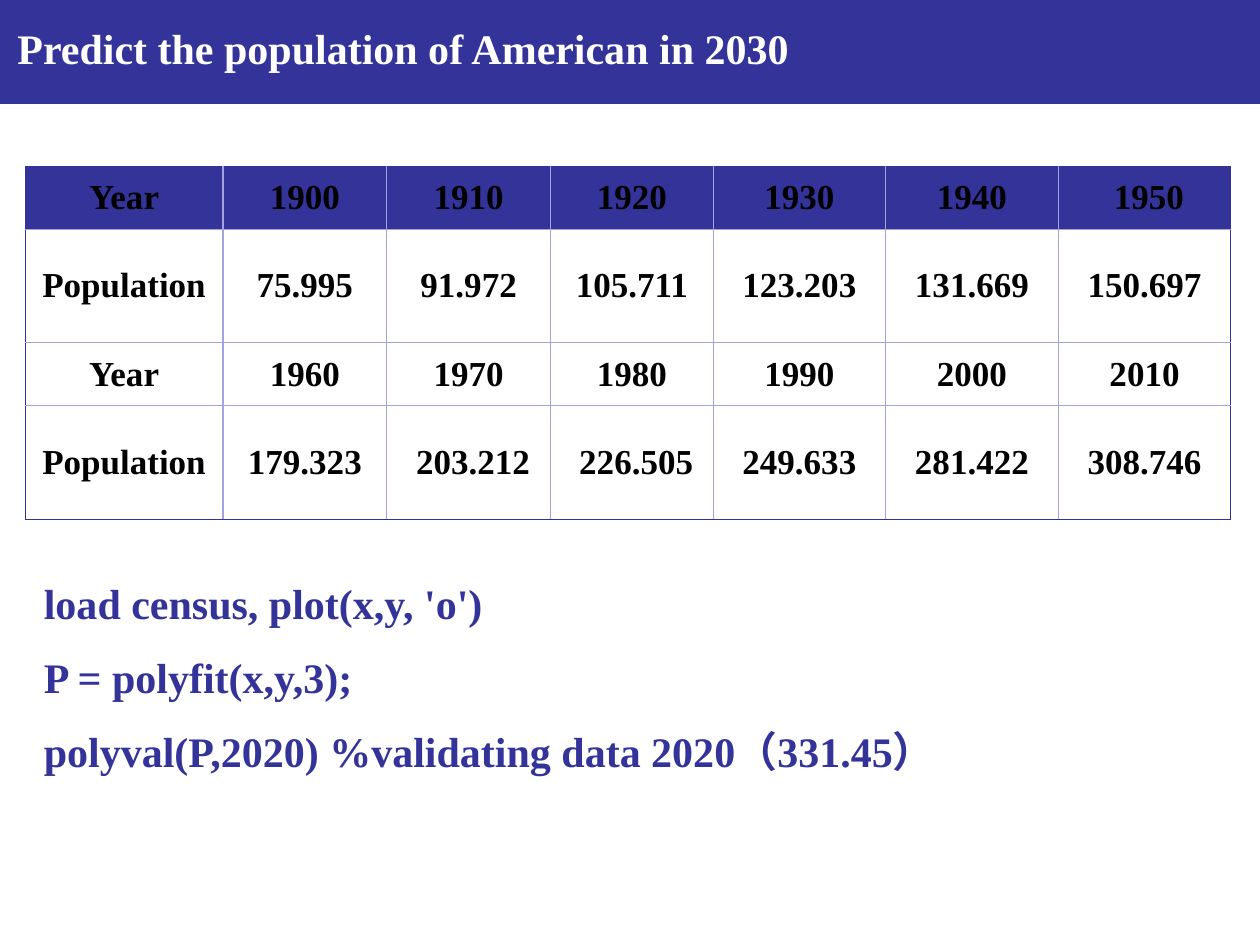
import pptx
import pptx.dml.color
import pptx.enum.shapes
import pptx.enum.text
import pptx.util
from lxml import etree

NAVY = pptx.dml.color.RGBColor(0x33, 0x33, 0x99)
PALE = pptx.dml.color.RGBColor(0xA3, 0xA3, 0xE0)
WHITE = pptx.dml.color.RGBColor(0xFF, 0xFF, 0xFF)
BLACK = pptx.dml.color.RGBColor(0x00, 0x00, 0x00)
WIDE, HIGH = 10, 7.5
FONT = "Times New Roman"
NS = "http://schemas.openxmlformats.org/drawingml/2006/main"
COLS = [1.57, 1.3, 1.3, 1.29, 1.37, 1.37, 1.37]
ROWS = [0.5, 0.9, 0.5, 0.9]
DATA = [
    ["Year", "1900", "1910", "1920", "1930", "1940", " 1950"],
    ["Population", "75.995", "91.972", "105.711", "123.203", "131.669", "150.697"],
    ["Year", "1960", "1970", "1980", "1990", "2000", "2010"],
    ["Population", "179.323", " 203.212", " 226.505", "249.633", "281.422", "308.746"],
]
CODE = [
    "load census, plot(x,y, 'o')",
    "P = polyfit(x,y,3);",
    "polyval(P,2020) %validating data 2020（331.45）",
]


def area(left, top, width, height):
    """Turn shares of the slide into lengths."""
    inch = pptx.util.Inches
    return inch(left * WIDE), inch(top * HIGH), inch(width * WIDE), inch(height * HIGH)


def write(frame, lines, size=24, color=NAVY, align=pptx.enum.text.PP_ALIGN.LEFT, gap=0):
    """Fill a text frame with bold paragraphs."""
    frame.word_wrap = True
    for i, line in enumerate(lines):
        para = frame.paragraphs[0] if i == 0 else frame.add_paragraph()
        para.alignment = align
        if i:
            para.space_before = pptx.util.Pt(gap)
        run = para.add_run()
        run.text = line
        run.font.name = FONT
        run.font.size = pptx.util.Pt(size)
        run.font.bold = True
        run.font.color.rgb = color


def band(slide, place, color):
    """Draw a plain filled bar."""
    bar = slide.shapes.add_shape(pptx.enum.shapes.MSO_SHAPE.RECTANGLE, *place)
    bar.shadow.inherit = False
    bar.fill.solid()
    bar.fill.fore_color.rgb = color
    bar.line.fill.background()


def label(slide, place, lines, **style):
    """Add a text box."""
    box = slide.shapes.add_textbox(*place)
    write(box.text_frame, lines, **style)


def edge(cell, side, color):
    """Rule one side of a cell."""
    line = etree.SubElement(cell._tc.get_or_add_tcPr(), f"{{{NS}}}ln{side}", w="9525")
    fill = etree.SubElement(line, f"{{{NS}}}solidFill")
    etree.SubElement(fill, f"{{{NS}}}srgbClr", val=str(color))


def grid(slide, place, data):
    """Add the table with a dark frame and pale inner rules."""
    table = slide.shapes.add_table(len(ROWS), len(COLS), *place).table
    table.first_row = table.horz_banding = False
    for col, width in zip(table.columns, COLS):
        col.width = pptx.util.Inches(width)
    for row, height in zip(table.rows, ROWS):
        row.height = pptx.util.Inches(height)
    for r, line in enumerate(data):
        for c, text in enumerate(line):
            cell = table.cell(r, c)
            outer = {"L": c == 0, "R": c == len(COLS) - 1,
                     "T": r == 0, "B": r == len(ROWS) - 1}
            for side, dark in outer.items():
                edge(cell, side, NAVY if dark else PALE)
            cell.fill.solid()
            cell.fill.fore_color.rgb = WHITE if r else NAVY
            cell.vertical_anchor = pptx.enum.text.MSO_ANCHOR.MIDDLE
            write(cell.text_frame, [text], size=20, color=BLACK,
                  align=pptx.enum.text.PP_ALIGN.CENTER)


def main():
    """Build and save the slide."""
    deck = pptx.Presentation()
    deck.slide_width = pptx.util.Inches(WIDE)
    deck.slide_height = pptx.util.Inches(HIGH)
    slide = deck.slides.add_slide(deck.slide_layouts[6])
    band(slide, area(0, 0, 1, 0.11), NAVY)
    label(slide, area(0.004, 0.017, 0.933, 0.067),
          ["Predict the population of American in 2030"], color=WHITE)
    grid(slide, area(0.02, 0.176, sum(COLS) / WIDE, sum(ROWS) / HIGH), DATA)
    label(slide, area(0.025, 0.605, 0.74, 0.23), CODE, gap=13.5)
    deck.save("out.pptx")


if __name__ == "__main__":
    main()
